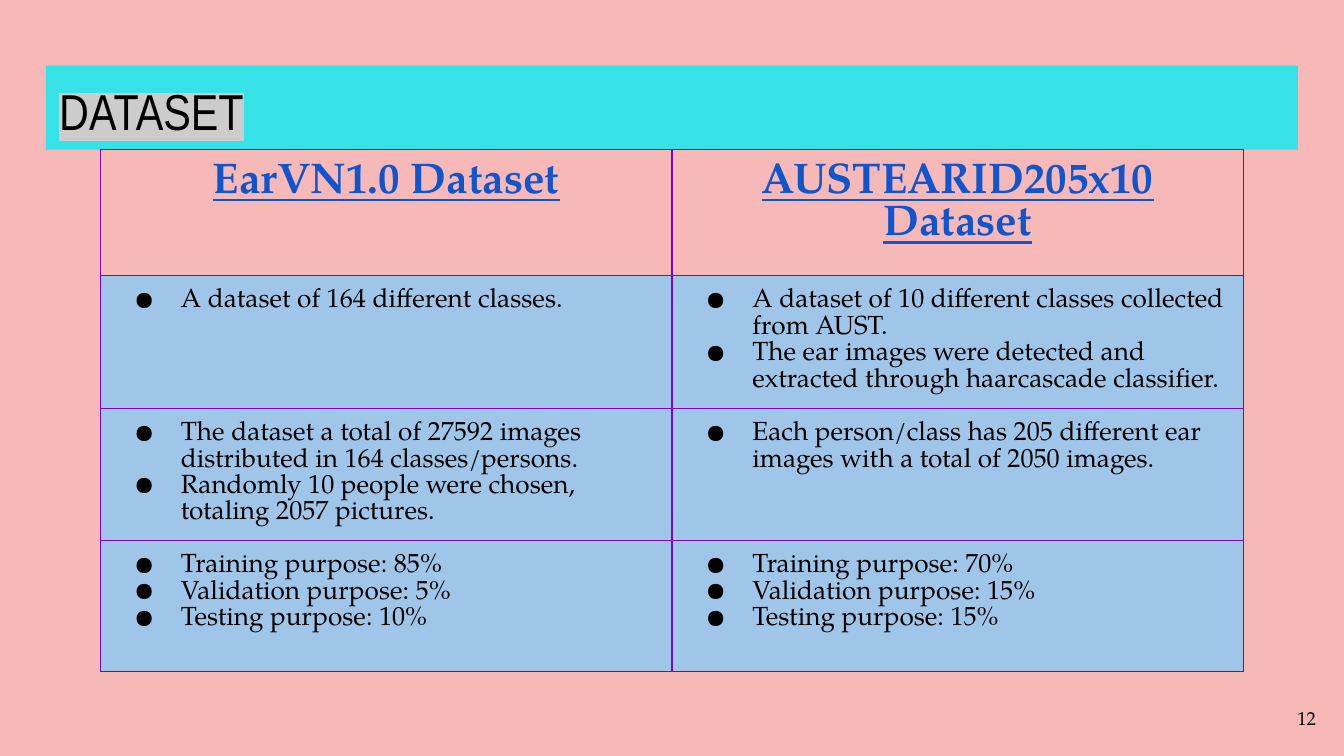
from dataclasses import dataclass

from lxml.etree import SubElement
from pptx import Presentation
from pptx.dml.color import RGBColor as Rgb
from pptx.enum.shapes import MSO_SHAPE as Preset
from pptx.enum.text import MSO_ANCHOR as Anchor, PP_ALIGN as Align
from pptx.oxml.ns import qn
from pptx.util import Cm, Pt


@dataclass(frozen=True)
class Theme:
    backdrop: str = "F7B8B8"
    banner: str = "36E1E8"
    highlight: str = "CCCCCC"
    panel: str = "9FC5E8"
    border: str = "7A04C9"
    heading: str = "1155CC"
    ink: str = "000000"
    title_font: str = "Arial Narrow"
    body_font: str = "TeX Gyre Pagella"
    title_size: float = 27
    heading_size: float = 23
    body_size: float = 14
    number_size: float = 10
    border_width: float = 0.75


THEME = Theme()
INSET = Cm(0.25)
INSETS = {f"margin_{side}": INSET for side in ("left", "top", "right", "bottom")}
COLUMN_WIDTH = Cm(10.8)
ROW_HEIGHTS = [Cm(2.38), Cm(2.51), Cm(2.5), Cm(2.47)]

HEADINGS = ["EarVN1.0 Dataset", "AUSTEARID205x10 Dataset"]
DETAILS = [
    [
        ["A dataset of 164 different classes."],
        [
            "A dataset of 10 different classes collected from AUST.",
            "The ear images were detected and extracted through haarcascade classifier.",
        ],
    ],
    [
        [
            "The dataset a total of 27592 images distributed in 164 classes/persons.",
            "Randomly 10 people were chosen, totaling 2057 pictures.",
        ],
        ["Each person/class has 205 different ear images with a total of 2050 images."],
    ],
    [
        ["Training purpose: 85%", "Validation purpose: 5%", "Testing purpose: 10%"],
        ["Training purpose: 70%", "Validation purpose: 15%", "Testing purpose: 15%"],
    ],
]


def apply(target, values):
    for name, value in values.items():
        setattr(target, name, value)


def add_color(parent, tag, color):
    holder = SubElement(parent, qn(tag))
    SubElement(holder, qn("a:srgbClr"), val=color)
    return holder


def paint(fill, color):
    fill.solid()
    fill.fore_color.rgb = Rgb.from_string(color)


def write(para, text, size, color=THEME.ink, name=THEME.body_font, **extra):
    span = para.add_run()
    span.text = text
    span.font.color.rgb = Rgb.from_string(color)
    apply(span.font, {"size": Pt(size), "name": name, **extra})
    return span


def add_bullet(para):
    props = para._p.get_or_add_pPr()
    props.set("marL", str(Cm(1.27)))
    props.set("indent", str(-Cm(0.89)))
    add_color(props, "a:buClr", THEME.ink)
    SubElement(props, qn("a:buChar"), char="●")


def add_borders(cell):
    props = cell._tc.get_or_add_tcPr()
    for position, side in enumerate("LRTB"):
        line = SubElement(props, qn(f"a:ln{side}"), w=str(Pt(THEME.border_width)))
        add_color(line, "a:solidFill", THEME.border)
        props.insert(position, line)


def add_title(page, text):
    box = page.shapes.add_shape(
        Preset.RECTANGLE, Cm(0.87), Cm(1.24), Cm(23.66), Cm(1.59)
    )
    box.shadow.inherit = False
    paint(box.fill, THEME.banner)
    box.line.fill.background()
    frame = box.text_frame
    apply(frame, {**INSETS, "margin_bottom": Cm(0.18),
                  "vertical_anchor": Anchor.BOTTOM, "word_wrap": True})
    para = frame.paragraphs[0]
    para.alignment = Align.LEFT
    span = write(para, text, THEME.title_size, name=THEME.title_font)
    props = span._r.get_or_add_rPr()
    marker = add_color(props, "a:highlight", THEME.highlight)
    props.find(qn("a:solidFill")).addnext(marker)


def fill_heading(cell, text):
    cell.fill.background()
    para = cell.text_frame.paragraphs[0]
    para.alignment = Align.CENTER
    write(para, text, THEME.heading_size, THEME.heading, bold=True, underline=True)


def fill_details(cell, lines):
    paint(cell.fill, THEME.panel)
    frame = cell.text_frame
    for index, text in enumerate(lines):
        para = frame.add_paragraph() if index else frame.paragraphs[0]
        add_bullet(para)
        write(para, text, THEME.body_size, bold=False)


def add_comparison(page):
    table = page.shapes.add_table(
        len(ROW_HEIGHTS), len(HEADINGS), Cm(1.9), Cm(2.83),
        COLUMN_WIDTH * len(HEADINGS), sum(ROW_HEIGHTS),
    ).table
    apply(table, {"first_row": False, "horz_banding": False})
    for column in table.columns:
        column.width = COLUMN_WIDTH
    for row, height in zip(table.rows, ROW_HEIGHTS):
        row.height = height
    for cell in table.iter_cells():
        apply(cell, INSETS)
        add_borders(cell)
    for column, text in enumerate(HEADINGS):
        fill_heading(table.cell(0, column), text)
    for row, entries in enumerate(DETAILS, start=1):
        for column, lines in enumerate(entries):
            fill_details(table.cell(row, column), lines)


def add_page_number(page, text):
    box = page.shapes.add_textbox(Cm(23.6), Cm(13.03), Cm(1.52), Cm(1.09))
    frame = box.text_frame
    apply(frame, {**INSETS, "vertical_anchor": Anchor.MIDDLE, "word_wrap": True})
    para = frame.paragraphs[0]
    para.alignment = Align.RIGHT
    write(para, text, THEME.number_size)


def main():
    deck = Presentation()
    apply(deck, {"slide_width": Cm(25.4), "slide_height": Cm(14.29)})
    page = deck.slides.add_slide(deck.slide_layouts[6])
    paint(page.background.fill, THEME.backdrop)
    add_title(page, "DATASET")
    add_comparison(page)
    add_page_number(page, "12")
    deck.save("out.pptx")


if __name__ == "__main__":
    main()
